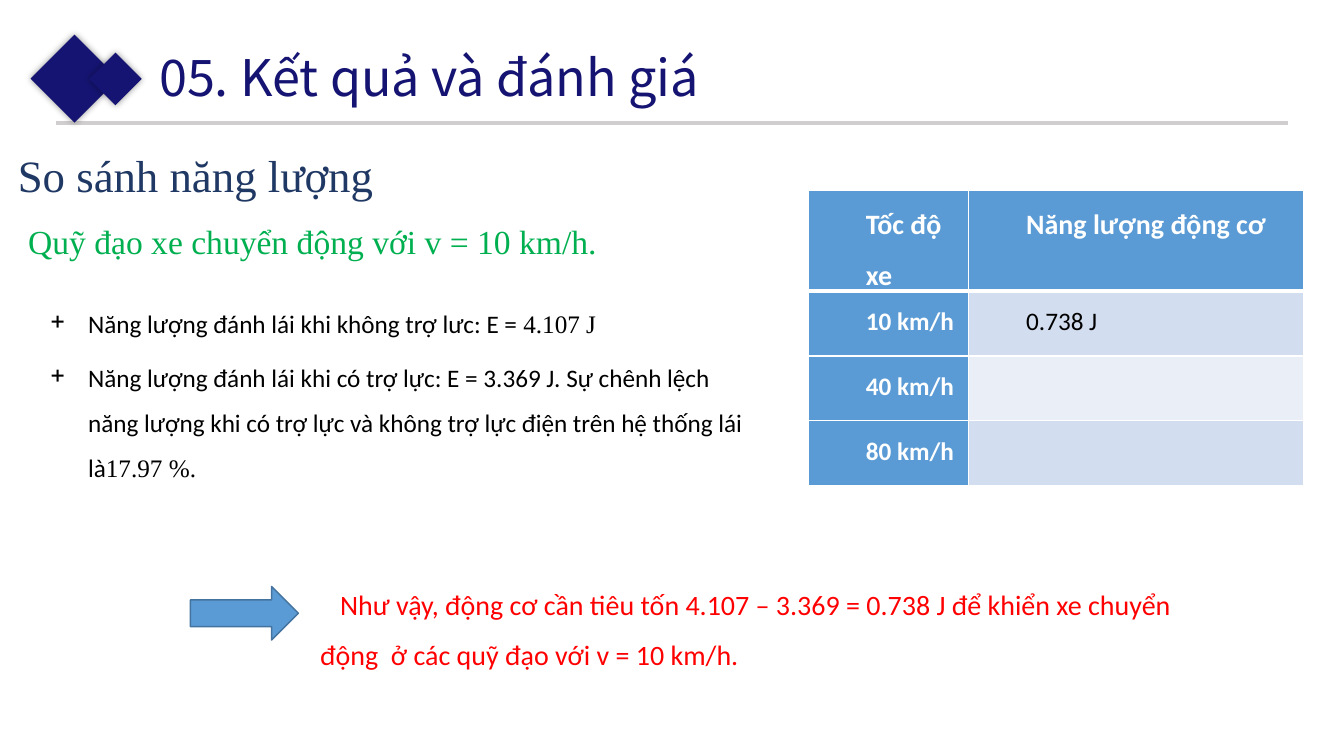
"""Build the slide comparing steering energy with and without power assist."""
from dataclasses import dataclass

from lxml import etree
from pptx import Presentation
from pptx import util as u
from pptx.dml import color
from pptx.enum import shapes
from pptx.oxml import ns


@dataclass(frozen=True)
class Theme:
    navy: str = "151472"
    heading: str = "203864"
    green: str = "00B050"
    red: str = "FF0000"
    black: str = "000000"
    white: str = "FFFFFF"
    rule: str = "D0CECE"
    blue: str = "5B9BD5"
    outline: str = "43739E"
    band_dark: str = "D2DEEF"
    band_light: str = "EAEFF7"
    sans: str = "Calibri"
    serif: str = "Times New Roman"
    display: str = "Noto Sans CJK JP"
    title: int = 36
    subtitle: int = 32
    topic: int = 24
    large: int = 20
    body: int = 18


def add_node(parent, tag, **attributes):
    node = etree.SubElement(parent, ns.qn(tag))
    for name, value in attributes.items():
        node.set(name, str(value))
    return node


def paint(fill, value):
    fill.solid()
    fill.fore_color.rgb = color.RGBColor.from_string(value)


def write(para, content, *, size, ink, font="Calibri", bold=False, left=0, indent=0,
          spacing=None, before=None, after=None, bullet=None):
    spans = [(content, font)] if isinstance(content, str) else content
    for words, face in spans:
        span = para.add_run()
        span.text = words
        span.font.name, span.font.size, span.font.bold = face, u.Pt(size), bold
        span.font.color.rgb = color.RGBColor.from_string(ink)
    if spacing:
        para.line_spacing = spacing
    if before is not None:
        para.space_before = u.Pt(before)
    if after is not None:
        para.space_after = u.Pt(after)
    properties = para._p.get_or_add_pPr()
    properties.set("marL", str(u.Cm(left)))
    properties.set("indent", str(u.Cm(indent)))
    if bullet:
        add_node(properties, "a:buChar", char=bullet)


class Painter:
    def __init__(self, slide, theme):
        self.slide = slide
        self.theme = theme

    def text(self, place, *contents, **style):
        frame = self.slide.shapes.add_textbox(*map(u.Cm, place)).text_frame
        frame.word_wrap = True
        for index, content in enumerate(contents):
            para = frame.add_paragraph() if index else frame.paragraphs[0]
            write(para, content, **style)

    def shape(self, kind, place, fill, line=None):
        box = self.slide.shapes.add_shape(kind, *map(u.Cm, place))
        box.shadow.inherit = False
        paint(box.fill, fill)
        if line:
            paint(box.line.fill, line)
            box.line.width = u.Pt(1)
        else:
            box.line.fill.background()
        return box

    def diamond(self, center_x, center_y, side):
        place = (center_x - side / 2, center_y - side / 2, side, side)
        box = self.shape(shapes.MSO_SHAPE.RECTANGLE, place, self.theme.navy)
        box.rotation = 315
        effects = box._element.spPr.find(ns.qn("a:effectLst"))
        shadow = add_node(effects, "a:outerShdw", blurRad=u.Pt(5), dist=0, dir=0,
                          algn="ctr", rotWithShape=0)
        tint = add_node(shadow, "a:srgbClr", val=self.theme.black)
        add_node(tint, "a:alpha", val=40000)

    def line(self, left, right, top):
        rule = self.slide.shapes.add_connector(
            shapes.MSO_CONNECTOR.STRAIGHT, u.Cm(left), u.Cm(top), u.Cm(right), u.Cm(top))
        paint(rule.line.fill, self.theme.rule)
        rule.line.width = u.Pt(2.25)
        add_node(rule._element.spPr, "a:effectLst")

    def cell(self, cell, content, fill, bottom, **style):
        cell.margin_left = cell.margin_right = u.Cm(0.18)
        cell.margin_top = cell.margin_bottom = 0
        properties = cell._tc.get_or_add_tcPr()
        for side, width in (("L", 1), ("R", 1), ("T", 1), ("B", bottom)):
            border = add_node(properties, f"a:ln{side}", w=u.Pt(width))
            add_node(add_node(border, "a:solidFill"), "a:srgbClr", val=self.theme.white)
        paint(cell.fill, fill)
        if content:
            write(cell.text_frame.paragraphs[0], content, left=1.27, spacing=1.5, **style)

    def table(self, left, top, widths, heights, rows):
        theme = self.theme
        table = self.slide.shapes.add_table(
            len(rows), len(widths), u.Cm(left), u.Cm(top),
            u.Cm(sum(widths)), u.Cm(sum(heights))).table
        table.horz_banding = table.first_row = False
        for column, width in zip(table.columns, widths):
            column.width = u.Cm(width)
        for row, height in zip(table.rows, heights):
            row.height = u.Cm(height)
        for r, row in enumerate(rows):
            band = theme.band_dark if r % 2 else theme.band_light
            for c, content in enumerate(row):
                header = r == 0 or c == 0
                gap = {"after": 10} if c else {"before": 6}
                self.cell(table.cell(r, c), content, theme.blue if header else band,
                          1 if r else 3, bold=header, size=theme.body if r else theme.large,
                          ink=theme.white if header else theme.black, **gap)


def main():
    deck = Presentation()
    deck.slide_width, deck.slide_height = u.Cm(33.87), u.Cm(19.05)
    theme = Theme()
    page = Painter(deck.slides.add_slide(deck.slide_layouts[6]), theme)

    page.line(1.4, 32.46, 3.1)
    page.diamond(1.88, 1.98, 1.57)
    page.diamond(2.91, 1.99, 0.94)
    page.text((3.76, 1.04, 15.77, 1.8), "05. Kết quả và đánh giá",
              size=theme.title, ink=theme.navy, font=theme.display)
    page.text((1.02, 7.26, 18.49, 4.95),
              [("Năng lượng đánh lái khi không trợ lưc: E = ", theme.sans),
               ("4.107 J", theme.serif)],
              [("Năng lượng đánh lái khi có trợ lực: E = 3.369 J. Sự chênh lệch năng lượng "
                "khi có trợ lực và không trợ lực điện trên hệ thống lái là", theme.sans),
               ("17.97 %.", theme.serif)],
              size=theme.body, ink=theme.black, left=0.95, indent=-0.95,
              spacing=1.5, before=6, bullet="+")
    page.text((0.2, 3.61, 17.4, 1.63), "So sánh năng lượng",
              size=theme.subtitle, ink=theme.heading, font=theme.serif)
    page.text((0.46, 5.44, 16.94, 1.27), "Quỹ đạo xe chuyển động với v = 10 km/h.",
              size=theme.topic, ink=theme.green, font=theme.serif)
    page.text((7.52, 14.25, 22.94, 2.69),
              "Như vậy, động cơ cần tiêu tốn 4.107 – 3.369 = 0.738 J để khiển xe chuyển "
              "động  ở các quỹ đạo với v = 10 km/h.",
              size=theme.large, ink=theme.red, left=0.3, indent=0.5, spacing=1.5, after=10)
    page.shape(shapes.MSO_SHAPE.RIGHT_ARROW, (4.8, 14.78, 2.72, 1.35),
               theme.blue, theme.outline)
    page.table(20.37, 4.8, (4.04, 8.43), (2.16, 1.63, 1.63, 1.63),
               [("Tốc độ xe", "Năng lượng động cơ"), ("10 km/h", "0.738 J"),
                ("40 km/h", ""), ("80 km/h", "")])
    deck.save("out.pptx")


main()
